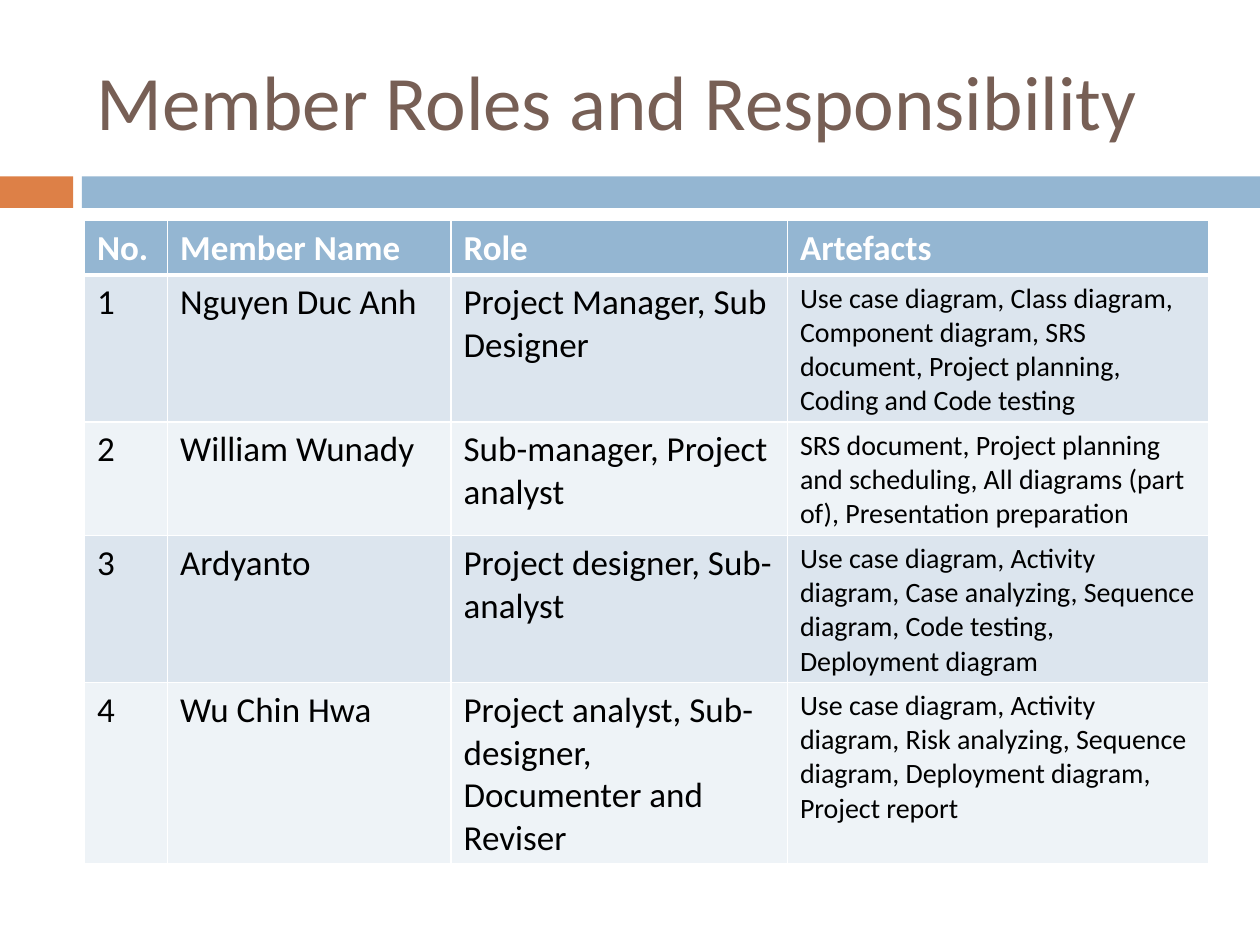
from lxml import etree
from pptx import Presentation
from pptx import util as u
from pptx.dml import color
from pptx.enum import shapes, text
from pptx.oxml import ns

ORANGE, BLUE, BROWN = "DD8047", "94B6D2", "775F55"
BANDS = ["DCE5EE", "EEF3F7"]
WHITE, BLACK = "FFFFFF", "000000"

HEAD = ["No.", "Member Name", "Role", "Artefacts"]
TEAM = [
    ["1", "Nguyen Duc Anh", "Project Manager, Sub Designer",
     "Use case diagram, Class diagram, Component diagram, SRS document, "
     "Project planning, Coding and Code testing"],
    ["2", "William Wunady", "Sub-manager, Project analyst",
     "SRS document, Project planning and scheduling, "
     "All diagrams (part of), Presentation preparation"],
    ["3", "Ardyanto", "Project designer, Sub-analyst",
     "Use case diagram, Activity diagram, Case analyzing, "
     "Sequence diagram, Code testing, Deployment diagram"],
    ["4", "Wu Chin Hwa", "Project analyst, Sub-designer, Documenter and Reviser",
     "Use case diagram, Activity diagram, Risk analyzing, "
     "Sequence diagram, Deployment diagram, Project report"],
]


def rgb(code):
    return color.RGBColor.from_string(code)


class Deck:
    face = "Calibri"

    def __init__(self, wide, high):
        self.prs = Presentation()
        self.prs.slide_width = u.Inches(wide)
        self.prs.slide_height = u.Inches(high)
        self.slide = self.prs.slides.add_slide(self.prs.slide_layouts[6])

    def label(self, frame, words, size, tint, bold=False):
        run = frame.paragraphs[0].add_run()
        run.text = words
        style = {"name": self.face, "size": u.Pt(size), "bold": bold}
        for key, value in style.items():
            setattr(run.font, key, value)
        run.font.color.rgb = rgb(tint)

    def bar(self, box, tint):
        bar = self.slide.shapes.add_shape(
            shapes.MSO_SHAPE.RECTANGLE, *map(u.Inches, box))
        bar.shadow.inherit = False
        bar.fill.solid()
        bar.fill.fore_color.rgb = rgb(tint)
        bar.line.fill.background()

    def title(self, box, words, size, tint):
        frame = self.slide.shapes.add_textbox(*map(u.Inches, box)).text_frame
        style = {"word_wrap": True, "vertical_anchor": text.MSO_ANCHOR.MIDDLE}
        for key, value in style.items():
            setattr(frame, key, value)
        self.label(frame, words, size, tint)

    def edge(self, cell, side, width):
        line = etree.SubElement(cell._tc.get_or_add_tcPr(), ns.qn("a:ln" + side),
                                w=str(u.Pt(width)))
        fill = etree.SubElement(line, ns.qn("a:solidFill"))
        etree.SubElement(fill, ns.qn("a:srgbClr"), val=WHITE)

    def cell(self, cell, words, size, tint, back, bold, edges):
        # Borders come before the fill in the cell properties
        for side, width in edges.items():
            self.edge(cell, side, width)
        cell.fill.solid()
        cell.fill.fore_color.rgb = rgb(back)
        self.label(cell.text_frame, words, size, tint, bold)

    def table(self, left, top, cols, high, rows):
        grid = self.slide.shapes.add_table(
            len(rows), len(cols), u.Inches(left), u.Inches(top),
            u.Inches(sum(cols)), u.Inches(high * len(rows))).table
        for col, wide in zip(grid.columns, cols):
            col.width = u.Inches(wide)
        for r, row in enumerate(rows):
            grid.rows[r].height = u.Inches(high)
            head = r == 0
            edges = {"L": 1, "R": 1, "T": 3 if r == 1 else 1, "B": 3 if head else 1}
            back = BLUE if head else BANDS[(r - 1) % 2]
            for c, words in enumerate(row):
                small = not head and c == len(cols) - 1
                self.cell(grid.cell(r, c), words, 16 if small else 20,
                          WHITE if head else BLACK, back, head, edges)


def main():
    deck = Deck(10, 7.5)
    # Band under the title
    deck.bar((0, 1.4, 0.58, 0.25), ORANGE)
    deck.bar((0.65, 1.4, 9.35, 0.25), BLUE)
    # Title
    deck.title((0.67, 0.25, 8.92, 1.08), "Member Roles and Responsibility", 44, BROWN)
    # Team table: rows grow to fit their text
    deck.table(0.67, 1.75, [0.66, 2.25, 2.67, 3.34], 0.41, [HEAD] + TEAM)
    deck.prs.save("out.pptx")


if __name__ == "__main__":
    main()
